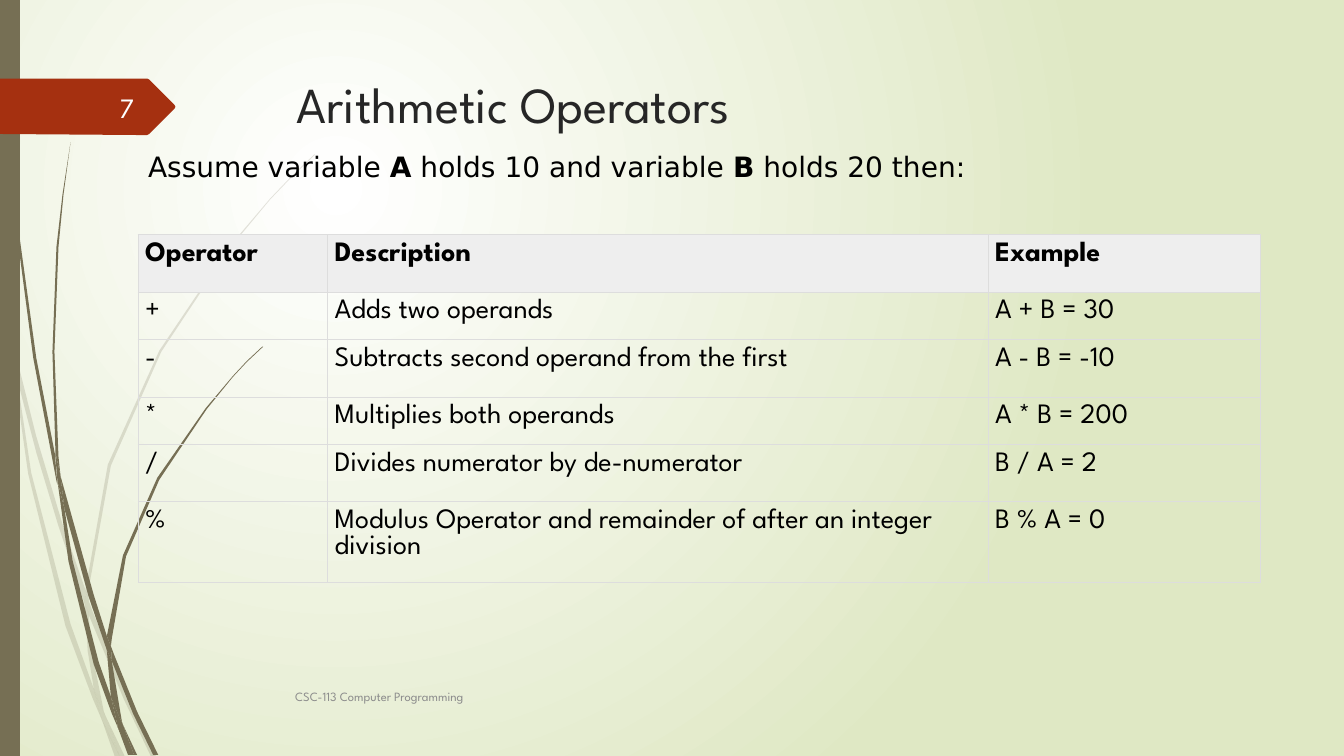
import pptx
import pptx.util
import pptx.dml.color
import pptx.enum.text
import pptx.oxml
import pptx.oxml.ns
import lxml.etree

PX = 9144
theme = {
    "olive": "766F54", "red": "A53010", "white": "FFFFFF", "green": "DFE8C4",
    "heading": "262626", "black": "000000", "footer": "8C8C8C", "number": "FEFFFF",
    "header": "EEEEEE", "border": "DDDDDD",
    "title_size": 36, "text_size": 20, "footer_size": 9,
    "font": "League Spartan", "intro_font": "DejaVu Sans",
}
rgb = pptx.dml.color.RGBColor.from_string
qn = pptx.oxml.ns.qn
ANCHOR = pptx.enum.text.MSO_ANCHOR
ALIGN = pptx.enum.text.PP_ALIGN
AUTO = pptx.enum.text.MSO_AUTO_SIZE


def write(tf, text, size="text_size", color="black", font="font", bold=False,
          align=ALIGN.LEFT, anchor=ANCHOR.TOP, fit=AUTO.NONE):
    tf.word_wrap = True
    tf.auto_size = fit
    tf.vertical_anchor = anchor
    p = tf.paragraphs[0]
    p.alignment = align
    r = p.add_run()
    r.text = text
    r.font.size = pptx.util.Pt(theme[size])
    r.font.name = theme[font]
    r.font.bold = bold
    r.font.color.rgb = rgb(theme[color])


def outline(shapes, points, color, alpha=100):
    xy = [tuple(map(int, pair.split(","))) for pair in points.split()]
    builder = shapes.build_freeform(*xy[0], scale=PX)
    builder.add_line_segments(xy[1:], close=True)
    sp = builder.convert_to_shape()
    sp.shadow.inherit = False
    sp.fill.solid()
    sp.fill.fore_color.rgb = rgb(theme[color])
    sp.line.fill.background()
    if alpha < 100:
        clr = sp._element.spPr.find(".//" + qn("a:srgbClr"))
        lxml.etree.SubElement(clr, qn("a:alpha")).set("val", str(alpha * 1000))


prs = pptx.Presentation()
prs.slide_width, prs.slide_height = 1333 * PX, 750 * PX
s = prs.slides.add_slide(prs.slide_layouts[5])

bg = s.background.fill
bg.gradient()
for stop, color, position in zip(bg.gradient_stops, ("white", "green"), (0, 1)):
    stop.color.rgb = rgb(theme[color])
    stop.position = position
grad = s._element.find(".//" + qn("a:gradFill"))
grad.replace(grad.find(qn("a:lin")), pptx.oxml.parse_xml(
    f'<a:path {pptx.oxml.ns.nsdecls("a")} path="circle">'
    '<a:fillToRect l="50000" t="50000" r="100000" b="100000"/></a:path>'))

pale_wisps = [
    "11,350 9,322 0,282 0,299 10,344",
    "58,522 84,599 85,586 62,520 36,433 14,345 17,376 36,449",
    "92,607 88,596 88,610 123,694 150,751 155,751 127,692",
    "119,751 124,751 105,711",
    "93,683 70,619 31,469 17,376 11,350 28,470 65,621 92,693 101,714 99,707",
    "84,599 87,646 93,683 96,692 105,711 103,706 91,646 88,610 88,608",
    "88,584 110,462 160,349 229,245 268,198 290,175 312,154 312,153 289,175 268,197 "
    "228,244 158,348 107,461 85,584 85,586 88,596",
    "101,714 114,751 119,751",
    "88,608 88,610 88,596 85,586 84,599",
    "96,692 93,683 99,707 101,714 119,751 105,711",
]
dark_wisps = [
    "7,110 17,233 33,355 56,477 57,481 55,457 55,453 36,355 19,232 8,109 5,48 4,0 3,0 4,48",
    "88,592 106,645 106,633 106,631 93,590 60,472 64,505",
    "113,649 110,641 111,656 132,708 152,749 157,749 136,706",
    "110,691 98,657 72,556 64,505 57,477 68,557 93,659 111,708 117,722 116,717",
    "60,472 58,453 54,349 58,245 63,193 70,141 62,193 56,245 52,349 55,449",
    "133,749 136,749 122,719",
    "57,477 64,505 60,472 55,449 55,453",
    "111,633 125,552 158,476 205,406 231,374 245,359 261,344 260,344 245,358 231,373 "
    "204,405 156,474 122,551 106,631 110,641",
    "117,722 127,749 131,749",
    "106,645 110,691 116,706 122,719 121,716 111,656 109,651",
    "106,645 109,651 111,656 110,641 106,631 106,633",
    "116,706 110,691 116,717 117,722 130,749 133,749 122,719",
]
for wisps, alpha in ((pale_wisps, 20), (dark_wisps, 100)):
    group = s.shapes.add_group_shape()
    for points in wisps:
        outline(group.shapes, points, "olive", alpha)

outline(s.shapes, "0,0 20,0 20,750 0,750", "olive")
outline(s.shapes, "173,108 148,133 146,134 136,134 0,133 0,78 136,78 146,78 148,79 173,104 174,106",
        "red")

title = s.shapes.title
title.left, title.top, title.width, title.height = (v * PX for v in (284, 68, 975, 140))
write(title.text_frame, "Arithmetic Operators", size="title_size", color="heading")

rows = [
    ("Operator", "Description", "Example"),
    ("+", "Adds two operands", "A + B = 30"),
    ("-", "Subtracts second operand from the first", "A - B = -10"),
    ("*", "Multiplies both operands", "A * B = 200"),
    ("/", "Divides numerator by de-numerator", "B / A = 2"),
    ("%", "Modulus Operator and remainder of after an integer division", "B % A = 0"),
]
widths = (188, 655, 270)
heights = (57, 47, 57, 47, 57, 80)
table = s.shapes.add_table(len(rows), len(widths), 137 * PX, 233 * PX,
                           sum(widths) * PX, sum(heights) * PX).table
table.first_row = table.horz_banding = False
for column, width in zip(table.columns, widths):
    column.width = width * PX
for i, (row, height) in enumerate(zip(rows, heights)):
    table.rows[i].height = height * PX
    for j, text in enumerate(row):
        cell = table.cell(i, j)
        cell.margin_left = cell.margin_right = cell.margin_top = cell.margin_bottom = 7 * PX
        write(cell.text_frame, text, bold=i == 0)
        if i == 0:
            cell.fill.solid()
            cell.fill.fore_color.rgb = rgb(theme["header"])
        else:
            cell.fill.background()
        for k, side in enumerate(("lnL", "lnR", "lnT", "lnB")):
            cell._tc.get_or_add_tcPr().insert(k, pptx.oxml.parse_xml(
                f'<a:{side} {pptx.oxml.ns.nsdecls("a")} w="9525"><a:solidFill>'
                f'<a:srgbClr val="{theme["border"]}"/></a:solidFill></a:{side}>'))

footer_format = dict(size="footer_size", color="footer", anchor=ANCHOR.MIDDLE)
number_format = dict(color="number", align=ALIGN.RIGHT, anchor=ANCHOR.MIDDLE)
intro_format = dict(font="intro_font", fit=AUTO.SHAPE_TO_FIT_TEXT)
text_boxes = [
    ((283, 671, 833, 40), ["CSC-113 Computer Programming"], footer_format),
    ((58, 86, 85, 40), ["7"], number_format),
    ((137, 143, 883, 44),
     ["Assume variable ", "A", " holds 10 and variable ", "B", " holds 20 then:"], intro_format),
]
for box, runs, text_format in text_boxes:
    tf = s.shapes.add_textbox(*(v * PX for v in box)).text_frame
    for text in runs:
        write(tf, text, bold=text in ("A", "B"), **text_format)

prs.save("out.pptx")
